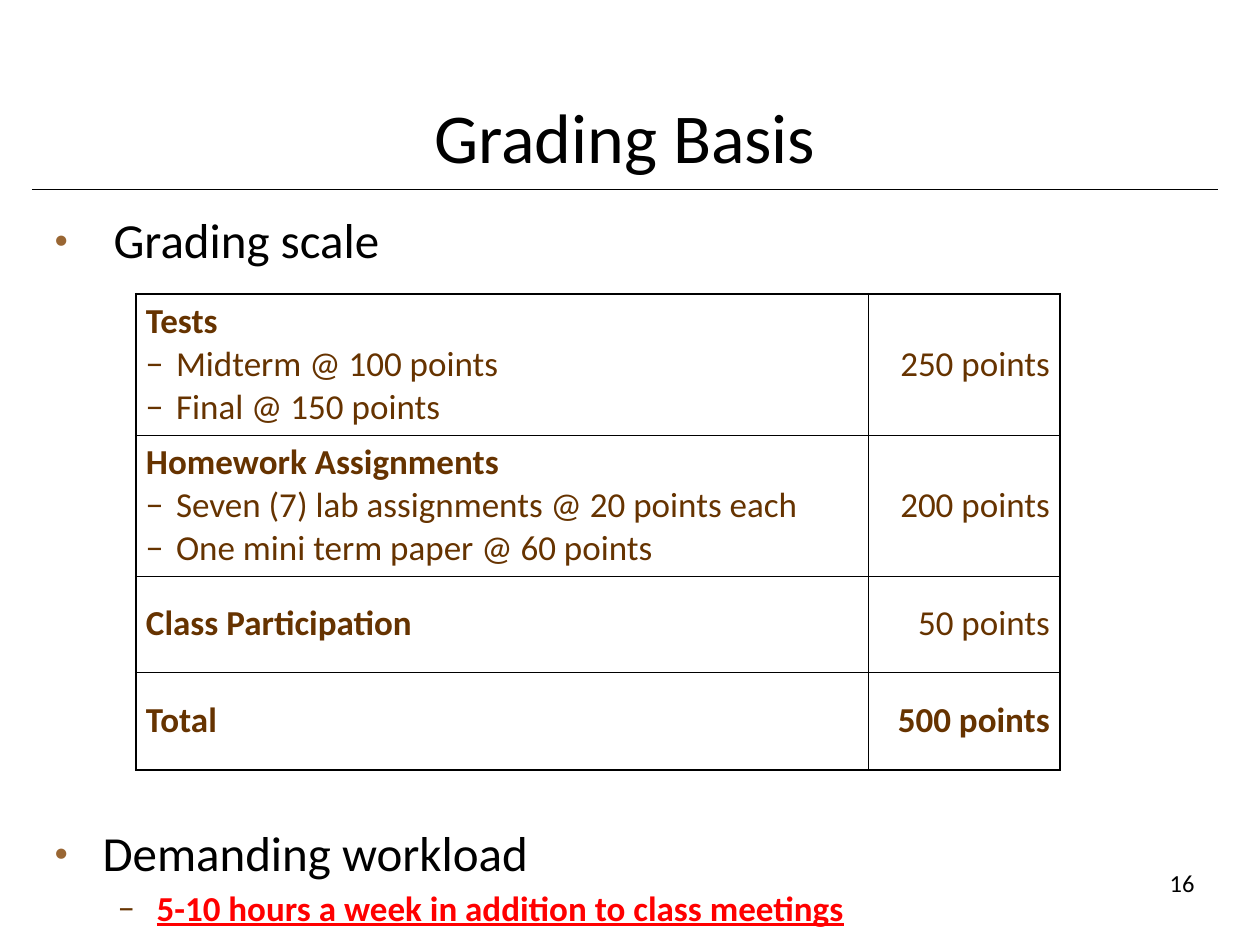
from dataclasses import dataclass

from lxml import etree
from pptx import Presentation
from pptx.dml.color import RGBColor
from pptx.enum import shapes, text
from pptx.oxml import ns
from pptx.util import Emu, Pt

PX_PER_INCH = 126
BLACK, BROWN, TAN, RED = "000000", "663300", "996633", "FF0000"
THIN, THICK = 0.45, 1.47


@dataclass(frozen=True)
class Point:
    wording: str
    size: int
    margin: int
    hanging: int
    before: float
    mark: str
    mark_color: str
    mark_percent: int = 100
    level: int = 0
    color: str = BLACK
    emphasis: bool = False


@dataclass(frozen=True)
class Grade:
    heading: str
    details: tuple[str, ...]
    points: str
    height: int
    bold_points: bool = False


POINTS = (
    Point("Grading scale", 28, 59, 59, 0, "●", TAN, 45),
    Point("Demanding workload", 28, 48, 48, 320, "●", TAN, 45),
    Point("5-10 hours a week in addition to class meetings", 20, 102, 39, 5,
          "–", BROWN, level=1, color=RED, emphasis=True),
)
GRADES = (
    Grade("Tests", ("Midterm @ 100 points", "Final @ 150 points"), "250 points", 141),
    Grade("Homework Assignments",
          ("Seven (7) lab assignments @ 20 points each", "One mini term paper @ 60 points"),
          "200 points", 141),
    Grade("Class Participation", (), "50 points", 96),
    Grade("Total", (), "500 points", 98, True),
)


def px(length: int) -> Emu:
    return Emu(round(length * 914400 / PX_PER_INCH))


def rgb(value: str) -> RGBColor:
    return RGBColor.from_string(value)


def add_element(parent, tag: str, **attributes):
    return etree.SubElement(parent, ns.qn(tag), attributes)


def place(shape, left: int, top: int, width: int, height: int) -> None:
    shape.left, shape.top = px(left), px(top)
    shape.width, shape.height = px(width), px(height)


def style(paragraph, size: int, color: str, bold: bool = False, underline: bool = False) -> None:
    for run in paragraph.runs:
        run.font.name = "Calibri"
        run.font.size = Pt(size)
        run.font.color.rgb = rgb(color)
        run.font.bold = bold
        run.font.underline = underline


def add_bullet(paragraph, mark: str, color: str, margin: int, hanging: int, percent: int = 100) -> None:
    properties = paragraph._p.get_or_add_pPr()
    properties.set("marL", str(px(margin)))
    properties.set("indent", str(px(-hanging)))
    add_element(add_element(properties, "a:buClr"), "a:srgbClr", val=color)
    add_element(properties, "a:buSzPct", val=str(percent * 1000))
    add_element(properties, "a:buFont", typeface="Calibri")
    add_element(properties, "a:buChar", char=mark)


def write_title(title) -> None:
    place(title, 42, 32, 1166, 152)
    title.text_frame.text = "Grading Basis"
    title.text_frame.auto_size = text.MSO_AUTO_SIZE.NONE
    title.text_frame.vertical_anchor = text.MSO_ANCHOR.BOTTOM
    heading = title.text_frame.paragraphs[0]
    heading.alignment = text.PP_ALIGN.CENTER
    style(heading, 40, BLACK)


def write_points(body, points: tuple[Point, ...]) -> None:
    place(body, 42, 210, 1149, 735)
    frame = body.text_frame
    frame.text = "\n".join(point.wording for point in points)
    frame.auto_size = text.MSO_AUTO_SIZE.NONE
    frame.vertical_anchor = text.MSO_ANCHOR.TOP
    for paragraph, point in zip(frame.paragraphs, points):
        paragraph.level = point.level
        add_bullet(paragraph, point.mark, point.mark_color, point.margin,
                   point.hanging, point.mark_percent)
        paragraph.line_spacing = 0.9
        paragraph.space_before = Pt(point.before)
        style(paragraph, point.size, point.color, point.emphasis, point.emphasis)


def add_border(cell, side: str, width: float) -> None:
    border = add_element(cell._tc.get_or_add_tcPr(), f"a:ln{side}", w=str(Pt(width)))
    add_element(add_element(border, "a:solidFill"), "a:srgbClr", val=BLACK)


def format_cell(cell, outer_sides: str) -> None:
    for side in "LRTB":
        add_border(cell, side, THICK if side in outer_sides else THIN)
    cell.fill.background()
    cell.vertical_anchor = text.MSO_ANCHOR.MIDDLE
    cell.margin_left = cell.margin_right = px(10)
    cell.margin_top = cell.margin_bottom = px(6)


def add_grades(slide, grades: tuple[Grade, ...]) -> None:
    table = slide.shapes.add_table(len(grades), 2, px(136), px(294), px(924), px(476)).table
    table.first_row = table.horz_banding = False
    for column, width in zip(table.columns, (732, 192)):
        column.width = px(width)
    for index, grade in enumerate(grades):
        table.rows[index].height = px(grade.height)
        edges = ("T" if index == 0 else "") + ("B" if index == len(grades) - 1 else "")
        work, score = table.cell(index, 0), table.cell(index, 1)
        format_cell(work, "L" + edges)
        format_cell(score, "R" + edges)
        work.text_frame.text = "\n".join((grade.heading, *grade.details))
        heading, *details = work.text_frame.paragraphs
        style(heading, 20, BROWN, bold=True)
        for detail in details:
            add_bullet(detail, "−", BROWN, 30, 30)
            style(detail, 20, BROWN)
        score.text_frame.text = grade.points
        total = score.text_frame.paragraphs[0]
        total.alignment = text.PP_ALIGN.RIGHT
        style(total, 20, BROWN, grade.bold_points)


def add_rule(slide) -> None:
    rule = slide.shapes.add_connector(
        shapes.MSO_CONNECTOR.STRAIGHT, px(32), px(189), px(1218), px(189))
    rule.line.color.rgb = rgb(BLACK)
    rule.line.width = Pt(0.5)
    add_element(rule._element.spPr, "a:effectLst")


def add_page_number(slide) -> None:
    frame = slide.shapes.add_textbox(px(945), px(851), px(262), px(63)).text_frame
    frame.word_wrap = True
    frame.vertical_anchor = text.MSO_ANCHOR.MIDDLE
    frame.text = "16"
    frame.paragraphs[0].alignment = text.PP_ALIGN.RIGHT
    style(frame.paragraphs[0], 14, BLACK)


def main() -> None:
    deck = Presentation()
    deck.slide_width, deck.slide_height = px(1260), px(945)
    slide = deck.slides.add_slide(deck.slide_layouts[1])
    add_rule(slide)
    add_page_number(slide)
    write_title(slide.shapes.title)
    write_points(slide.placeholders[1], POINTS)
    add_grades(slide, GRADES)
    deck.save("out.pptx")


if __name__ == "__main__":
    main()
